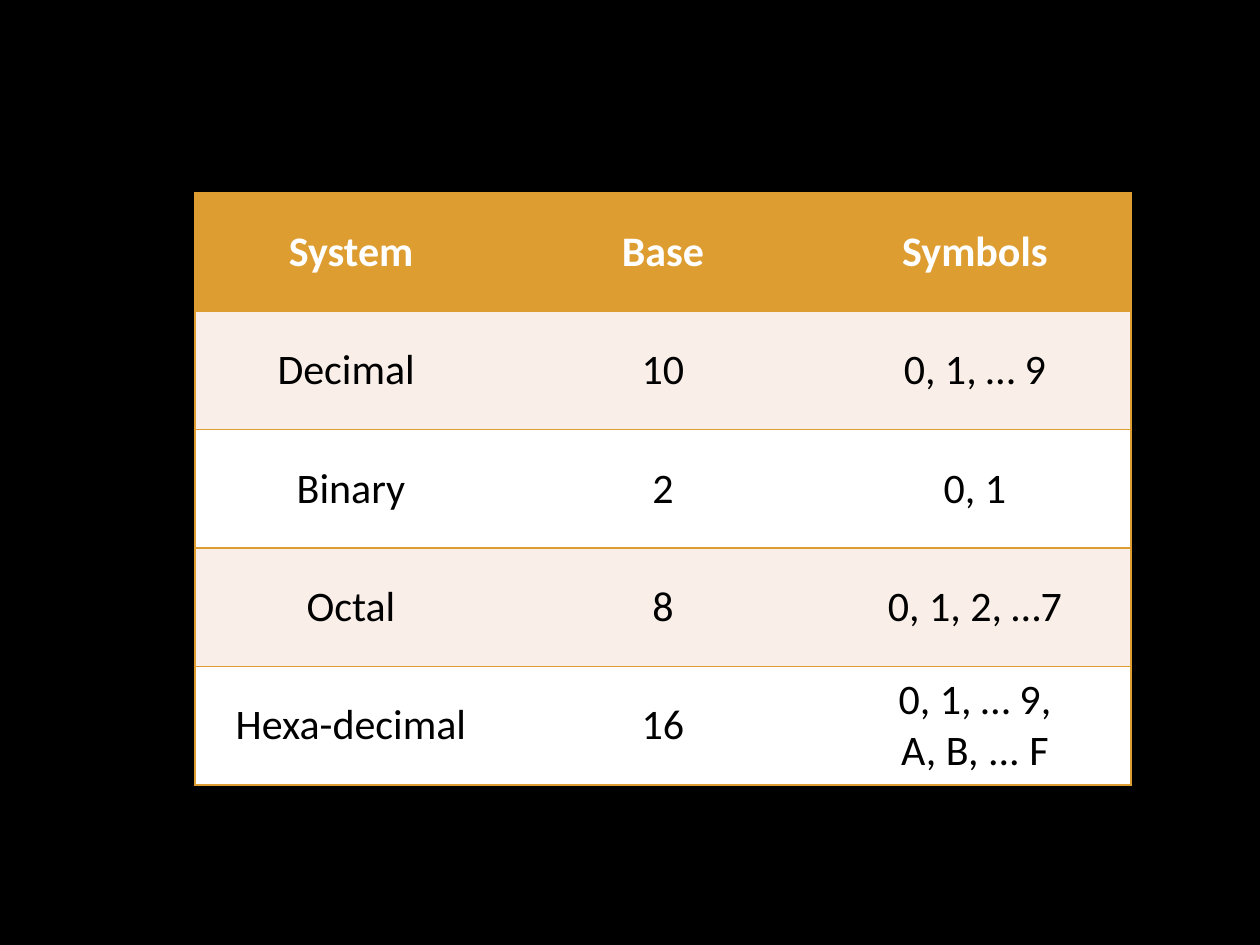
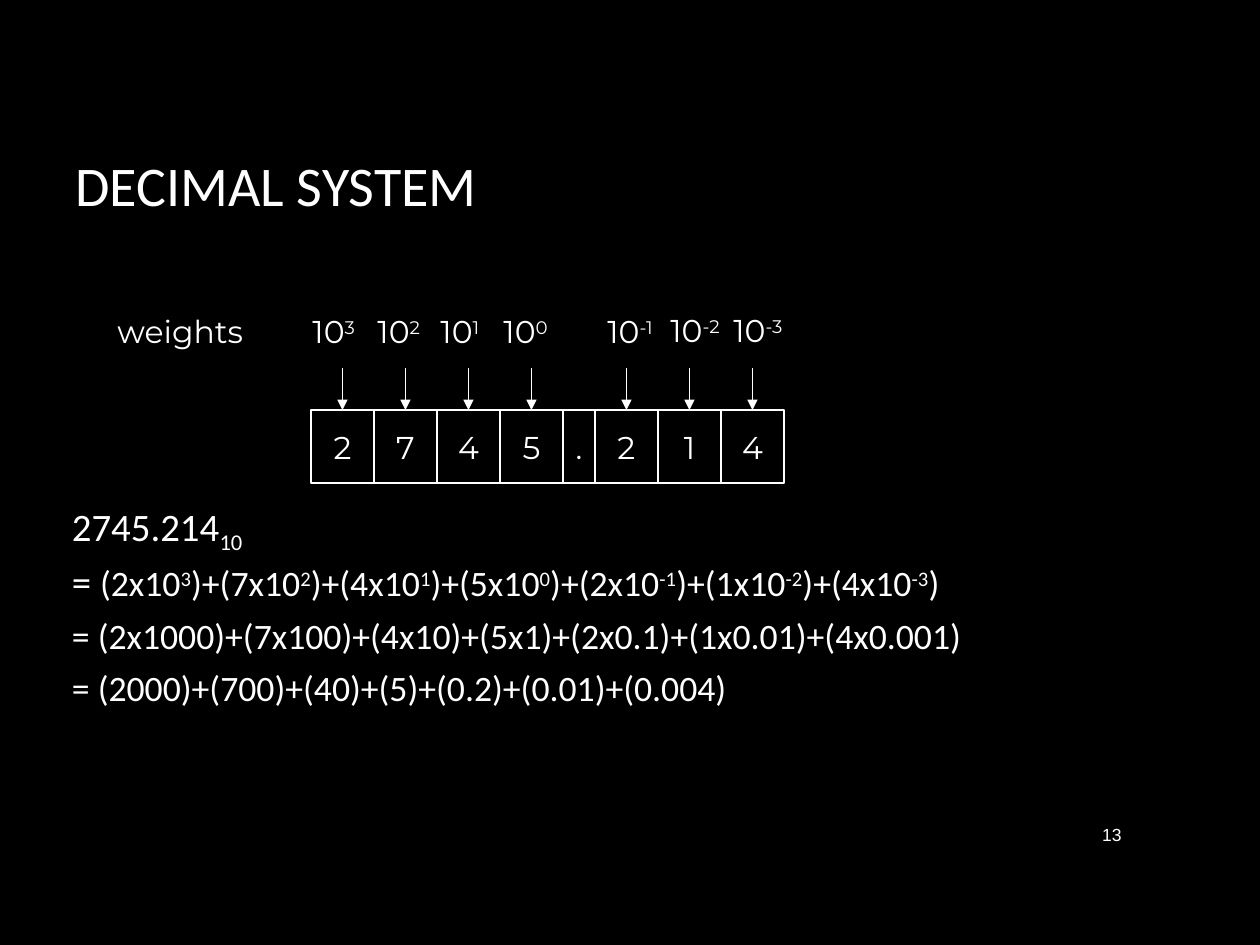
import pptx
import pptx.dml.color
import pptx.enum.shapes
import pptx.enum.text
import pptx.oxml.ns
import pptx.util
import lxml.etree

ALIGN = pptx.enum.text.PP_ALIGN
ANCHOR = pptx.enum.text.MSO_ANCHOR
AUTO_SIZE = pptx.enum.text.MSO_AUTO_SIZE
BLACK, WHITE, GOLD, CREAM = "000000", "FFFFFF", "DD9D31", "F9EFE8"
BASELINES = {"^": "30000", "_": "-25000"}


def px(length):
    return round(length * 914400 / 126)


def color(code):
    return pptx.dml.color.RGBColor.from_string(code)


def set_all(target, values):
    for name, value in values.items():
        setattr(target, name, value)


def add_xml(parent, tag, **attributes):
    return lxml.etree.SubElement(parent, pptx.oxml.ns.qn(tag), attributes)


class Deck:
    heading_font, label_font, number_font = "Calibri", "Montserrat", "Arial"
    hairline = pptx.util.Pt(0.75)

    def __init__(self, width, height):
        self.presentation = pptx.Presentation()
        set_all(self.presentation, {"slide_width": px(width), "slide_height": px(height)})
        self.slide = None

    def new_slide(self):
        self.slide = self.presentation.slides.add_slide(self.presentation.slide_layouts[6])
        self.slide.background.fill.solid()
        self.slide.background.fill.fore_color.rgb = color(BLACK)

    def add_lines(self, frame, lines, font, size, ink=WHITE, bold=False, **paragraph_format):
        """Pieces between bars are runs; a leading ^ or _ raises or lowers one."""
        for index, line in enumerate(lines):
            paragraph = frame.add_paragraph() if index else frame.paragraphs[0]
            set_all(paragraph, paragraph_format)
            for piece in filter(None, line.split("|")):
                run = paragraph.add_run()
                baseline = BASELINES.get(piece[0])
                run.text = piece[1:] if baseline else piece
                set_all(run.font, {"name": font, "size": pptx.util.Pt(size), "bold": bold})
                run.font.color.rgb = color(ink)
                if baseline:
                    run.font._element.set("baseline", baseline)

    def text(self, left, top, width, height, lines, font, size, frame_format=None, **paragraph_format):
        box = self.slide.shapes.add_textbox(px(left), px(top), px(width), px(height))
        set_all(box.text_frame, {"word_wrap": True, "auto_size": AUTO_SIZE.NONE, **(frame_format or {})})
        self.add_lines(box.text_frame, lines, font, size, **paragraph_format)
        return box.text_frame

    def title(self, words):
        self.text(63, 84, 1071, 200, [words], self.heading_font, 32,
                  {"vertical_anchor": ANCHOR.MIDDLE})

    def page_number(self, number):
        self.text(1076, 809, 58, 52, [number], self.number_font, 10,
                  {"vertical_anchor": ANCHOR.MIDDLE}, alignment=ALIGN.RIGHT)

    def label(self, left, top, width, words):
        self.text(left, top, width, 50, [words], self.label_font, 18,
                  {"word_wrap": False, "auto_size": AUTO_SIZE.SHAPE_TO_FIT_TEXT})

    def digit_box(self, left, top, width, height, digit):
        box = self.slide.shapes.add_shape(pptx.enum.shapes.MSO_SHAPE.RECTANGLE,
                                          px(left), px(top), px(width), px(height))
        box.shadow.inherit = False
        box.fill.solid()
        box.fill.fore_color.rgb = color(BLACK)
        box.line.color.rgb = color(WHITE)
        box.line.width = self.hairline
        set_all(box.text_frame, {"word_wrap": False, "vertical_anchor": ANCHOR.MIDDLE})
        self.add_lines(box.text_frame, [digit], self.label_font, 18, alignment=ALIGN.CENTER)

    def down_arrow(self, x, top, bottom):
        arrow = self.slide.shapes.add_connector(pptx.enum.shapes.MSO_CONNECTOR.STRAIGHT,
                                                px(x), px(top), px(x), px(bottom))
        arrow.line.color.rgb = color(WHITE)
        arrow.line.width = self.hairline
        add_xml(arrow.line._get_or_add_ln(), "a:tailEnd", type="triangle")
        add_xml(arrow._element.spPr, "a:effectLst")

    def cell_borders(self, cell, sides):
        properties = cell._tc.get_or_add_tcPr()
        for index, side in enumerate("LRTB"):
            border = add_xml(properties, "a:ln" + side, w=str(pptx.util.Pt(1)))
            if side in sides:
                add_xml(add_xml(border, "a:solidFill"), "a:srgbClr", val=GOLD)
            else:
                add_xml(border, "a:noFill")
            properties.insert(index, border)

    def table(self, left, top, width, height, rows):
        last = len(rows[0]) - 1
        grid = self.slide.shapes.add_table(len(rows), last + 1, px(left), px(top),
                                           px(width), px(height)).table
        for r, row in enumerate(rows):
            fill = CREAM if r % 2 else WHITE
            for c, words in enumerate(row):
                cell = grid.cell(r, c)
                cell.vertical_anchor = ANCHOR.MIDDLE
                cell.fill.solid()
                cell.fill.fore_color.rgb = color(fill if r else GOLD)
                self.cell_borders(cell, "TB" + "L" * (c == 0) + "R" * (c == last))
                self.add_lines(cell.text_frame, words.split("\n"), self.heading_font, 24,
                               ink=BLACK if r else WHITE, bold=r == 0, alignment=ALIGN.CENTER)


deck = Deck(1260, 945)

# Number systems
deck.new_slide()
deck.table(195, 193, 936, 592, [
    ("System", "Base", "Symbols"),
    ("Decimal ", "10", "0, 1, … 9"),
    ("Binary", "2", "0, 1"),
    ("Octal", "8", "0, 1, 2, …7"),
    ("Hexa-decimal", "16", "0, 1, … 9,\nA, B, ... F"),
])

# Decimal system
deck.new_slide()
deck.page_number("13")
deck.title("DECIMAL SYSTEM")

# Digit, power of ten, left and top of the weight label
places = [(2, 3, 300, 306), (7, 2, 365, 306), (4, 1, 428, 306), (5, 0, 491, 306),
          (2, -1, 595, 306), (1, -2, 658, 305), (4, -3, 721, 305)]

# Expansion of the number
expansions = [
    [f"({digit}x10|^{power}|)" for digit, power, *_ in places],
    [f"({digit}x{10 ** power:g})" for digit, power, *_ in places],
    [f"({digit * 10 ** power:g})" for digit, power, *_ in places],
]
working = deck.text(20, 501, 1211, 214,
                    ["2745.214|_10"] + ["= |" + "+".join(terms) for terms in expansions],
                    deck.heading_font, 20.4, {"margin_left": px(52)},
                    line_spacing=0.8, space_after=pptx.util.Pt(10))
for run in working.paragraphs[0].runs + working.paragraphs[1].runs[:1]:
    run.font.size = pptx.util.Pt(22.2)

# Digit boxes with their weights
box_left, box_top, box_width, box_height, point_width = 311, 410, 63, 73, 32
point_left = box_left + 4 * box_width
for index, (digit, power, label_left, label_top) in enumerate(places):
    left = box_left + index * box_width + (point_width if power < 0 else 0)
    deck.digit_box(left, box_top, box_width, box_height, str(digit))
    deck.down_arrow(left + box_width / 2, 368, box_top)
    deck.label(label_left, label_top, 88 if power < 0 else 82, f"10|^{power}")
deck.digit_box(point_left, box_top, point_width, box_height, ".")
deck.label(105, 306, 161, "weights")

deck.presentation.save("out.pptx")
